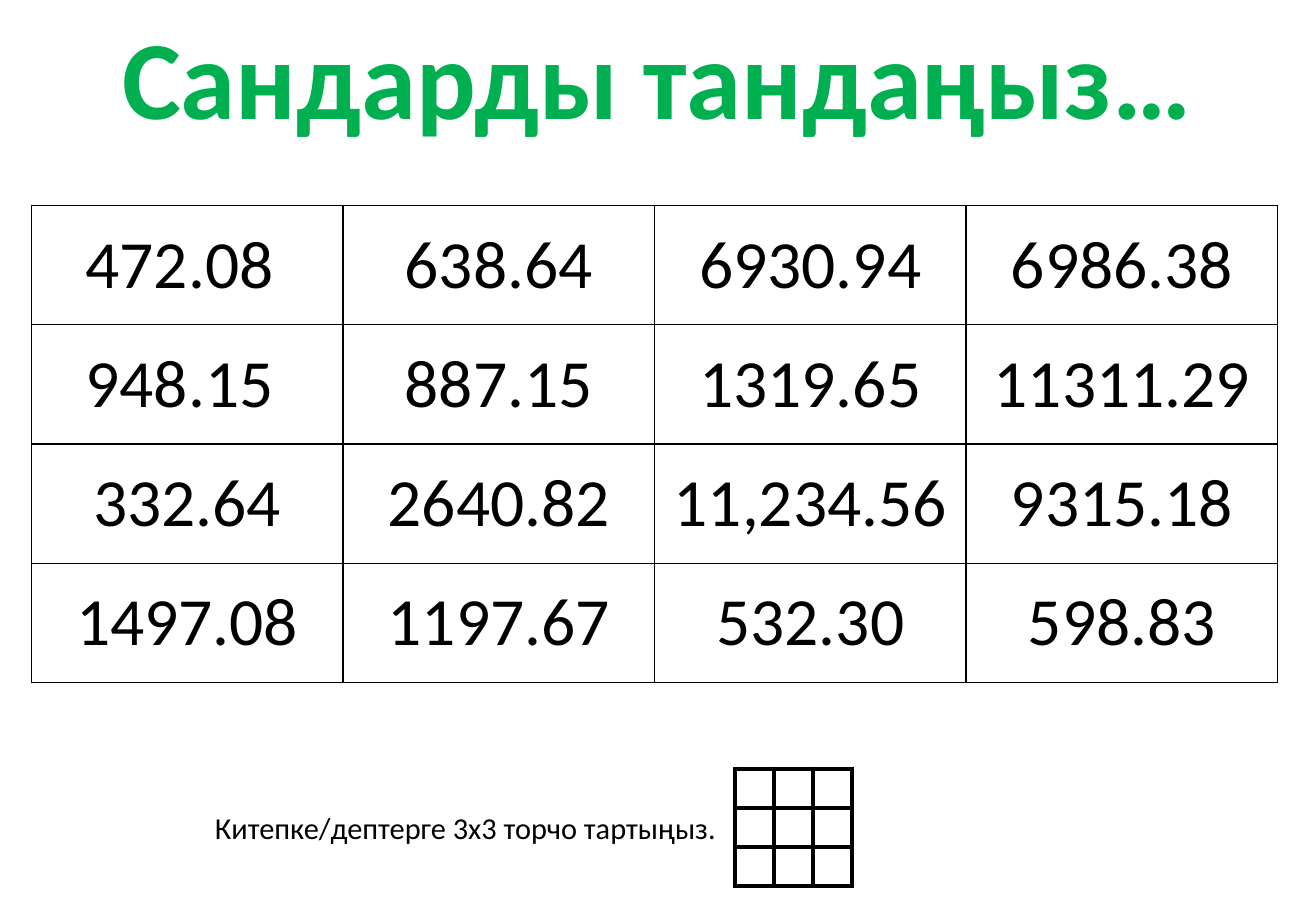
from lxml import etree
from pptx import Presentation
from pptx.dml.color import RGBColor
from pptx.enum import text
from pptx.oxml import ns
from pptx.util import Pt

COLORS = {"black": "000000", "white": "FFFFFF", "green": "00B050"}
FONT = "Calibri"
NUMBERS = [
    ["472.08 ", "638.64", "6930.94", "6986.38"],
    ["948.15 ", "887.15", "1319.65", "11311.29"],
    ["332.64", "2640.82", "11,234.56", "9315.18"],
    ["1497.08", "1197.67", "532.30", "598.83"],
]
EMPTY_GRID = [[""] * 3 for _ in range(3)]


def write(tf, content, size=18, color="black", bold=False, align=None):
    """Write one formatted run into the first paragraph of a text frame."""
    p = tf.paragraphs[0]
    p.alignment = align
    r = p.add_run()
    r.text = content
    r.font.name = FONT
    r.font.size = Pt(size)
    r.font.bold = bold
    r.font.color.rgb = RGBColor.from_string(COLORS[color])


def add_text(s, left, top, width, height, content, **fmt):
    """Add an unwrapped text box."""
    tf = s.shapes.add_textbox(Pt(left), Pt(top), Pt(width), Pt(height)).text_frame
    tf.word_wrap = False
    tf.auto_size = text.MSO_AUTO_SIZE.SHAPE_TO_FIT_TEXT
    write(tf, content, **fmt)


def set_borders(cell, width):
    """Draw a solid black line on all four sides of a cell."""
    tc_pr = cell._tc.get_or_add_tcPr()
    for side in ("a:lnL", "a:lnR", "a:lnT", "a:lnB"):
        ln = etree.SubElement(tc_pr, ns.qn(side), w=str(Pt(width)))
        fill = etree.SubElement(ln, ns.qn("a:solidFill"))
        etree.SubElement(fill, ns.qn("a:srgbClr"), val=COLORS["black"])


def add_grid(s, left, top, col_width, row_height, rows, border, size=18):
    """Add a white table with equal cells and uniform borders."""
    n_rows, n_cols = len(rows), len(rows[0])
    table = s.shapes.add_table(
        n_rows, n_cols, Pt(left), Pt(top),
        Pt(col_width * n_cols), Pt(row_height * n_rows)).table
    table.first_row = table.horz_banding = False
    for col in table.columns:
        col.width = Pt(col_width)
    for row, values in zip(table.rows, rows):
        row.height = Pt(row_height)
        for cell, value in zip(row.cells, values):
            cell.margin_left = cell.margin_right = 0
            cell.margin_top = cell.margin_bottom = 0
            cell.vertical_anchor = text.MSO_ANCHOR.MIDDLE
            set_borders(cell, border)
            cell.fill.solid()
            cell.fill.fore_color.rgb = RGBColor.from_string(COLORS["white"])
            if value:
                write(cell.text_frame, value, size=size, align=text.PP_ALIGN.CENTER)


def main():
    """Build the number-choosing slide."""
    prs = Presentation()
    prs.slide_width, prs.slide_height = Pt(780), Pt(540)
    s = prs.slides.add_slide(prs.slide_layouts[6])
    add_grid(s, 18.6, 121.7, 184.7, 70.75, NUMBERS, border=1, size=40)
    add_text(s, 56.9, 1.5, 665.3, 87.1, "Сандарды тандаңыз…",
             size=66, color="green", bold=True, align=text.PP_ALIGN.CENTER)
    add_grid(s, 435.8, 455.8, 23.1, 23.1, EMPTY_GRID, border=3)
    add_text(s, 120.3, 476, 315.4, 29, "Китепке/дептерге 3х3 торчо тартыңыз.")
    prs.save("out.pptx")


if __name__ == "__main__":
    main()
